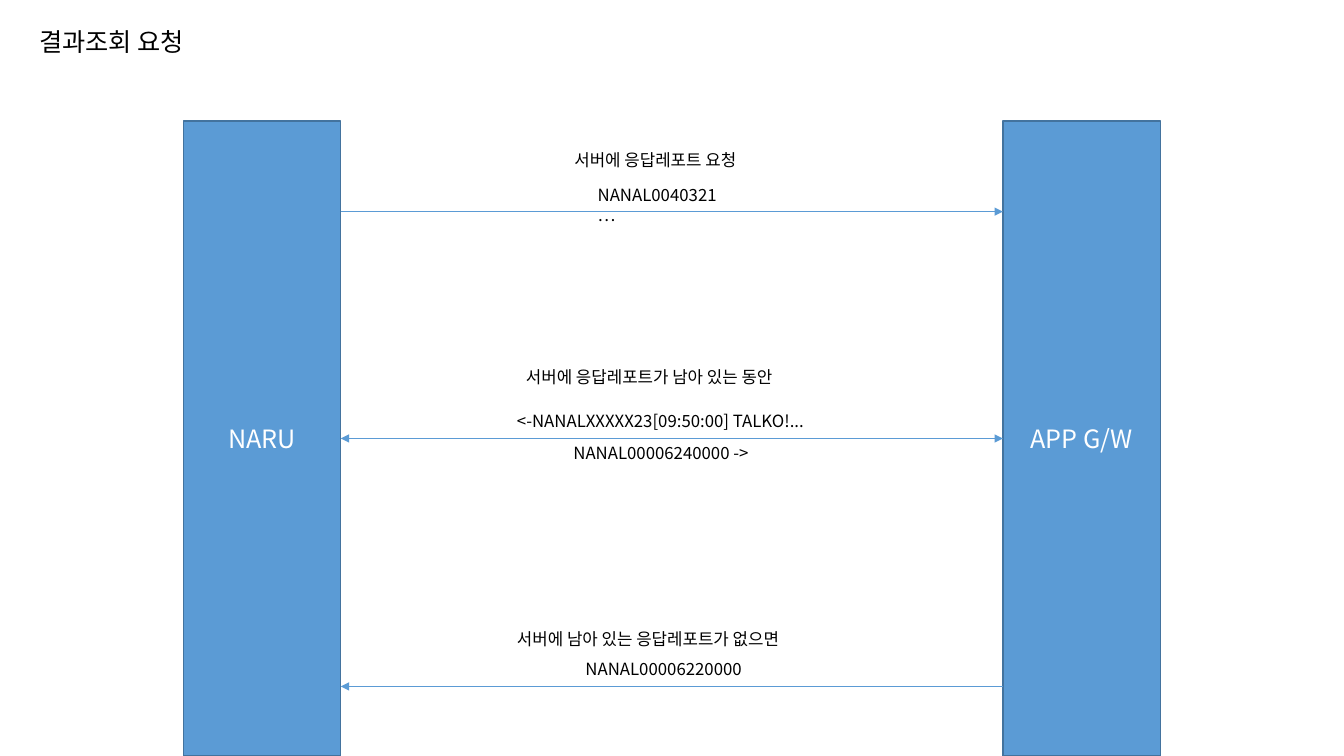
import pptx
import pptx.dml.color
import pptx.enum.shapes
import pptx.enum.text
import pptx.oxml.ns
import pptx.util
from lxml import etree

Pt = pptx.util.Pt
RGBColor = pptx.dml.color.RGBColor
ANCHOR = pptx.enum.text.MSO_ANCHOR
ALIGN = pptx.enum.text.PP_ALIGN

# Content
TITLE = "결과조회 요청"
SYSTEMS = [("NARU", 131), ("APP G/W", 716.4)]  # name, left
ARROWS = [  # height on the page, arrowhead at left, arrowhead at right
    (151.2, False, True),
    (313.2, True, True),
    (490.3, True, False),
]
LABELS = [  # text, left, top, width
    ("서버에 응답레포트 요청", 403.2, 105.1, 144),
    ("NANAL0040321…", 419.8, 129.6, 110),
    ("서버에 응답레포트가 남아 있는 동안", 368.6, 259.9, 213.1),
    ("<-NANALXXXXX23[09:50:00] TALKO!...", 362.2, 291.6, 226.1),
    ("NANAL00006240000 ->", 402.5, 313.9, 146.2),
    ("서버에 남아 있는 응답레포트가 없으면", 362.2, 447.1, 225.4),
    ("NANAL00006220000", 411.1, 468.7, 128.2),
]

# Style
FONT = "Noto Sans CJK KR"
BLUE = RGBColor(0x5B, 0x9B, 0xD5)
DARK_BLUE = RGBColor(0x43, 0x73, 0x9E)
BLACK = RGBColor(0, 0, 0)
WHITE = RGBColor(255, 255, 255)
PAGE_WIDTH, PAGE_HEIGHT = 960, 540
BAR_TOP, BAR_WIDTH = 86.4, 112.4
BAR_HEIGHT = PAGE_HEIGHT - BAR_TOP


def write(shape, text, size, color, align, anchor):
    frame = shape.text_frame
    frame.text = text
    frame.vertical_anchor = anchor
    para = frame.paragraphs[0]
    para.alignment = align
    para.font.name = FONT
    para.font.size = Pt(size)
    para.font.color.rgb = color
    # Korean letters take the East Asian font
    properties = para.font._element
    east_asian = etree.SubElement(properties, pptx.oxml.ns.qn("a:ea"))
    east_asian.set("typeface", FONT)
    return frame


def add_bar(page, name, left):
    bar = page.shapes.add_shape(
        pptx.enum.shapes.MSO_SHAPE.RECTANGLE,
        Pt(left), Pt(BAR_TOP), Pt(BAR_WIDTH), Pt(BAR_HEIGHT))
    bar.shadow.inherit = False
    bar.fill.solid()
    bar.fill.fore_color.rgb = BLUE
    bar.line.color.rgb = DARK_BLUE
    bar.line.width = Pt(1)
    write(bar, name, 18, WHITE, ALIGN.CENTER, ANCHOR.MIDDLE)
    return bar


def add_arrow(page, left_bar, right_bar, height, at_left, at_right):
    arrow = page.shapes.add_connector(
        pptx.enum.shapes.MSO_CONNECTOR.STRAIGHT,
        left_bar.left + left_bar.width, Pt(height), right_bar.left, Pt(height))
    if height == BAR_TOP + BAR_HEIGHT / 2:
        arrow.begin_connect(left_bar, 3)
        arrow.end_connect(right_bar, 1)
    arrow.line.color.rgb = BLUE
    arrow.line.width = Pt(0.5)
    line = arrow.line._get_or_add_ln()
    for tag, wanted in (("a:headEnd", at_left), ("a:tailEnd", at_right)):
        if wanted:
            etree.SubElement(line, pptx.oxml.ns.qn(tag)).set("type", "triangle")
    etree.SubElement(arrow._element.spPr, pptx.oxml.ns.qn("a:effectLst"))


def main():
    deck = pptx.Presentation()
    deck.slide_width, deck.slide_height = Pt(PAGE_WIDTH), Pt(PAGE_HEIGHT)
    page = deck.slides.add_slide(deck.slide_layouts[5])

    # Title
    title = page.shapes.title
    title.left, title.top = Pt(20.9), Pt(17.3)
    title.width, title.height = Pt(130.3), Pt(28.8)
    frame = write(title, TITLE, 18, BLACK, ALIGN.LEFT, ANCHOR.TOP)
    frame.word_wrap = False
    frame.margin_top = Pt(1.4)

    # Two systems and the messages between them
    left_bar, right_bar = [add_bar(page, *system) for system in SYSTEMS]
    for arrow in ARROWS:
        add_arrow(page, left_bar, right_bar, *arrow)

    # Message labels
    for text, left, top, width in LABELS:
        box = page.shapes.add_textbox(Pt(left), Pt(top), Pt(width), Pt(21.6))
        frame = write(box, text, 12, BLACK, ALIGN.LEFT, ANCHOR.TOP)
        frame.word_wrap = True
        frame.margin_top = Pt(2)

    deck.save("out.pptx")


if __name__ == "__main__":
    main()
